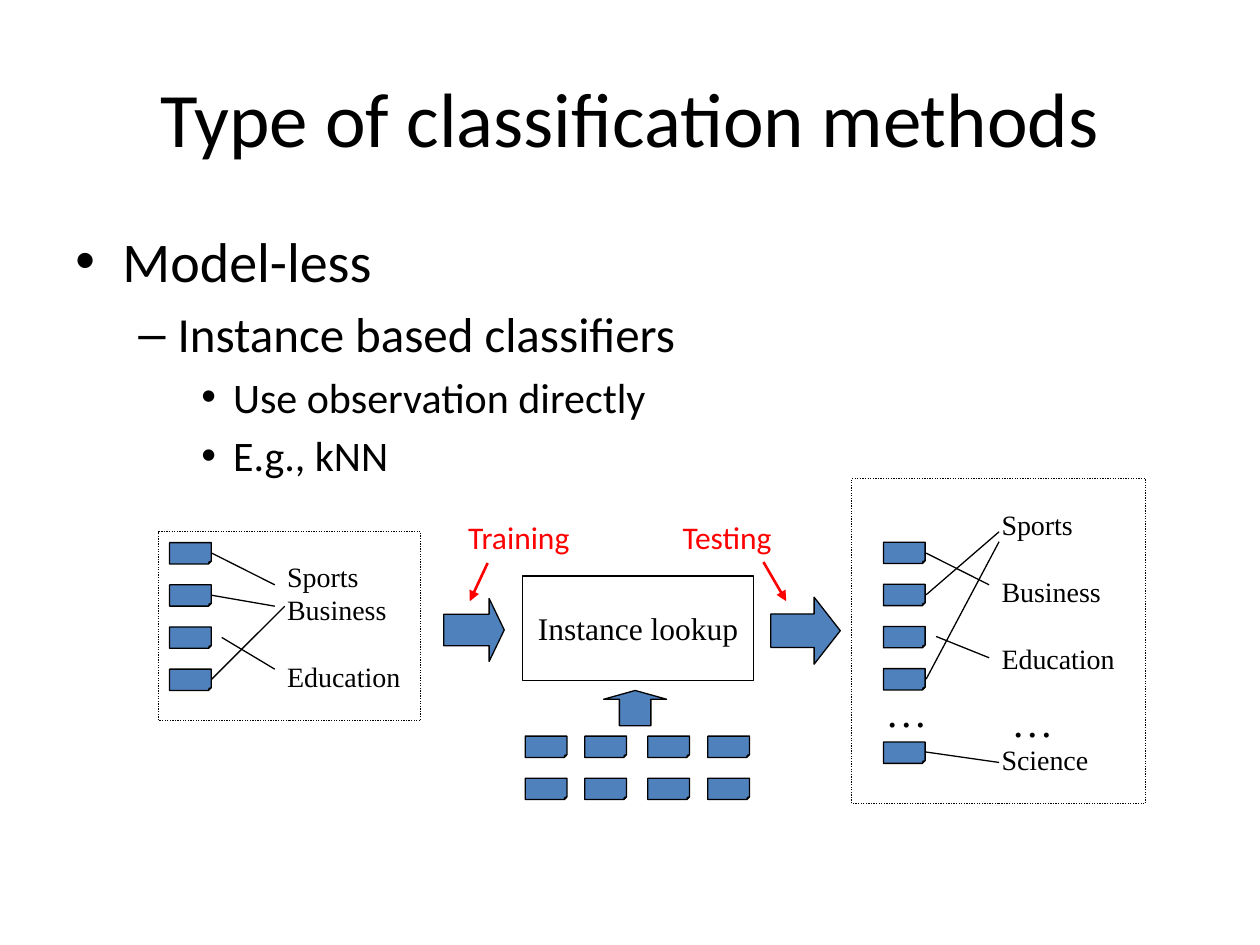
import pptx
import pptx.util
import pptx.dml.color
import pptx.enum.dml
import pptx.enum.shapes
import pptx.enum.text
import pptx.oxml.ns
import lxml.etree

Cm = pptx.util.Cm
Pt = pptx.util.Pt
RGBColor = pptx.dml.color.RGBColor
Shape = pptx.enum.shapes.MSO_SHAPE
Align = pptx.enum.text.PP_ALIGN
Anchor = pptx.enum.text.MSO_ANCHOR
qn = pptx.oxml.ns.qn

BLACK = RGBColor(0, 0, 0)
BLUE = RGBColor(0x4F, 0x81, 0xBD)
RED = RGBColor(0xFF, 0, 0)
SANS = "Calibri"
SERIF = "Times New Roman"
LABEL_LINE = 19.2
DOCUMENT_STEP = 0.85


def style_paragraph(para, size, name, color=BLACK):
    para.font.size = Pt(size)
    para.font.name = name
    para.font.color.rgb = color


def add_text(page, text, box, size, name, color=BLACK):
    frame = page.shapes.add_textbox(*map(Cm, box)).text_frame
    frame.word_wrap = True
    para = frame.paragraphs[0]
    para.text = text
    style_paragraph(para, size, name, color)


def add_labels(page, box, labels):
    frame = page.shapes.add_textbox(*map(Cm, box)).text_frame
    frame.word_wrap = True
    for index, (text, skipped_lines) in enumerate(labels):
        para = frame.add_paragraph() if index else frame.paragraphs[0]
        para.text = text
        para.line_spacing = Pt(LABEL_LINE)
        para.space_before = Pt(LABEL_LINE * skipped_lines)
        style_paragraph(para, 16, SERIF)


def add_bullets(page, box, items):
    frame = page.shapes.add_textbox(*map(Cm, box)).text_frame
    frame.word_wrap = True
    for index, (text, size, bullet, margin, hanging) in enumerate(items):
        para = frame.add_paragraph() if index else frame.paragraphs[0]
        para.text = text
        para.space_before = Pt(size * 0.2 if index else 0)
        properties = para._p.get_or_add_pPr()
        properties.set("marL", str(Cm(margin)))
        properties.set("indent", str(-Cm(hanging)))
        font = lxml.etree.SubElement(properties, qn("a:buFont"))
        font.set("typeface", "Arial")
        mark = lxml.etree.SubElement(properties, qn("a:buChar"))
        mark.set("char", bullet)
        style_paragraph(para, size, SANS)


def add_outlined(page, kind, box, fill=None, **adjustments):
    shape = page.shapes.add_shape(kind, *map(Cm, box))
    shape.shadow.inherit = False
    if fill is None:
        shape.fill.background()
    else:
        shape.fill.solid()
        shape.fill.fore_color.rgb = fill
    shape.line.color.rgb = BLACK
    shape.line.width = Pt(0.75)
    guides = shape._element.spPr.find(qn("a:prstGeom")).get_or_add_avLst()
    for name, value in adjustments.items():
        guide = lxml.etree.SubElement(guides, qn("a:gd"))
        guide.set("name", name)
        guide.set("fmla", f"val {round(value * 100000)}")
    return shape


def add_document(page, left, top):
    add_outlined(page, Shape.FOLDED_CORNER, (left, top, 0.84, 0.43), BLUE, adj=0.125)


def add_panel(page, box):
    panel = add_outlined(page, Shape.RECTANGLE, box)
    panel.line.dash_style = pptx.enum.dml.MSO_LINE.ROUND_DOT


def add_line(page, ends, color=BLACK, width=0.75, arrow=False):
    line = page.shapes.add_connector(
        pptx.enum.shapes.MSO_CONNECTOR.STRAIGHT, *map(Cm, ends))
    line.line.color.rgb = color
    line.line.width = Pt(width)
    if arrow:
        tail = lxml.etree.SubElement(line.line._get_or_add_ln(), qn("a:tailEnd"))
        tail.set("type", "triangle")
    lxml.etree.SubElement(line._element.spPr, qn("a:effectLst"))


def add_training_set(page):
    for row in range(4):
        add_document(page, 3.42, 10.94 + row * DOCUMENT_STEP)
    for ends in [(4.27, 11.15, 5.54, 11.79), (4.27, 12, 5.54, 12.22),
                 (4.27, 13.69, 5.74, 12.22), (4.47, 12.85, 5.54, 13.49)]:
        add_line(page, ends)
    add_labels(page, (5.54, 11.15, 3.2, 2.97),
               [("Sports", 0), ("Business", 0), ("Education", 1)])
    add_panel(page, (3.2, 10.72, 5.28, 3.81))


def add_result_set(page):
    add_panel(page, (17.17, 9.65, 5.92, 6.55))
    for row in range(4):
        add_document(page, 17.81, 10.93 + row * DOCUMENT_STEP)
    add_document(page, 17.81, 14.96)
    add_labels(page, (19.94, 10.11, 3.2, 7.04),
               [("Sports", 0), ("Business", 1), ("Education", 1), ("Science", 2)])
    for left, top in [(17.6, 13.69), (20.14, 13.89)]:
        add_text(page, "…", (left, top, 1.5, 1.27), 24, SERIF)
    for ends in [(18.67, 11.15, 19.94, 11.79), (18.67, 11.99, 20.14, 10.72),
                 (18.67, 13.69, 20.14, 10.92), (18.87, 12.83, 19.94, 13.26),
                 (18.67, 15.16, 20.14, 15.37)]:
        add_line(page, ends)


def add_lookup(page):
    for left in (10.59, 11.79, 13.06, 14.27):
        for row in range(2):
            add_document(page, left, 14.84 + row * DOCUMENT_STEP)
    lookup = add_outlined(page, Shape.RECTANGLE, (10.54, 11.61, 4.65, 2.11))
    frame = lookup.text_frame
    frame.word_wrap = False
    frame.vertical_anchor = Anchor.MIDDLE
    para = frame.paragraphs[0]
    para.text = "Instance lookup"
    para.alignment = Align.CENTER
    style_paragraph(para, 18, SERIF)


def add_flow(page):
    for box, rotation in [((8.92, 12.09, 1.27, 1.22), 90), ((12.17, 13.92, 1.27, 0.71), 0)]:
        arrow = add_outlined(page, Shape.UP_ARROW, box, BLUE, adj1=0.5, adj2=0.25)
        arrow.rotation = rotation
    add_outlined(page, Shape.RIGHT_ARROW, (15.54, 12.04, 1.4, 1.35), BLUE, adj1=0.5, adj2=0.39)
    for text, left, width, ends in [
            ("Training", 9.19, 4.55, (9.83, 11.35, 9.47, 12.12)),
            ("Testing", 13.51, 2.54, (15.39, 11.33, 15.85, 12.12))]:
        add_text(page, text, (left, 10.31, width, 1.02), 18, SANS, RED)
        add_line(page, ends, RED, 1.5, arrow=True)


def add_title(page, text):
    title = page.shapes.title
    title.left, title.top, title.width, title.height = map(Cm, (1.27, 0.76, 22.86, 3.18))
    title.text_frame.vertical_anchor = Anchor.MIDDLE
    para = title.text_frame.paragraphs[0]
    para.text = text
    para.alignment = Align.CENTER
    style_paragraph(para, 44, SANS)


def main():
    deck = pptx.Presentation()
    deck.slide_width, deck.slide_height = Cm(25.4), Cm(19.05)
    page = deck.slides.add_slide(deck.slide_layouts[5])
    add_title(page, "Type of classification methods")
    add_bullets(page, (1.27, 4.45, 22.86, 13.18), [
        ("Model-less", 32, "•", 0.95, 0.95),
        ("Instance based classifiers", 28, "–", 2.06, 0.79),
        ("Use observation directly", 24, "•", 3.18, 0.64),
        ("E.g., kNN", 24, "•", 3.18, 0.64)])
    add_result_set(page)
    add_training_set(page)
    add_lookup(page)
    add_flow(page)
    deck.save("out.pptx")


if __name__ == "__main__":
    main()
